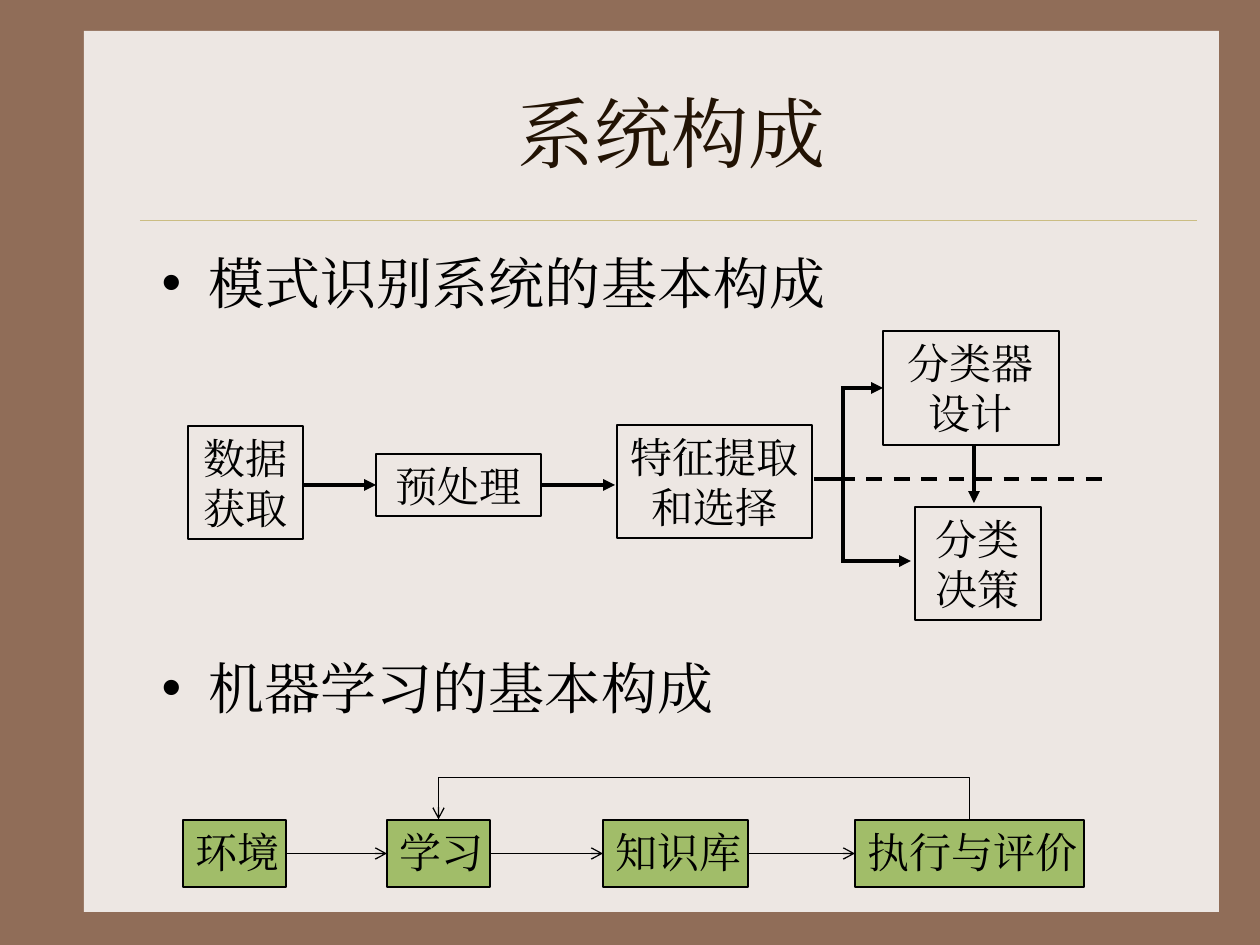
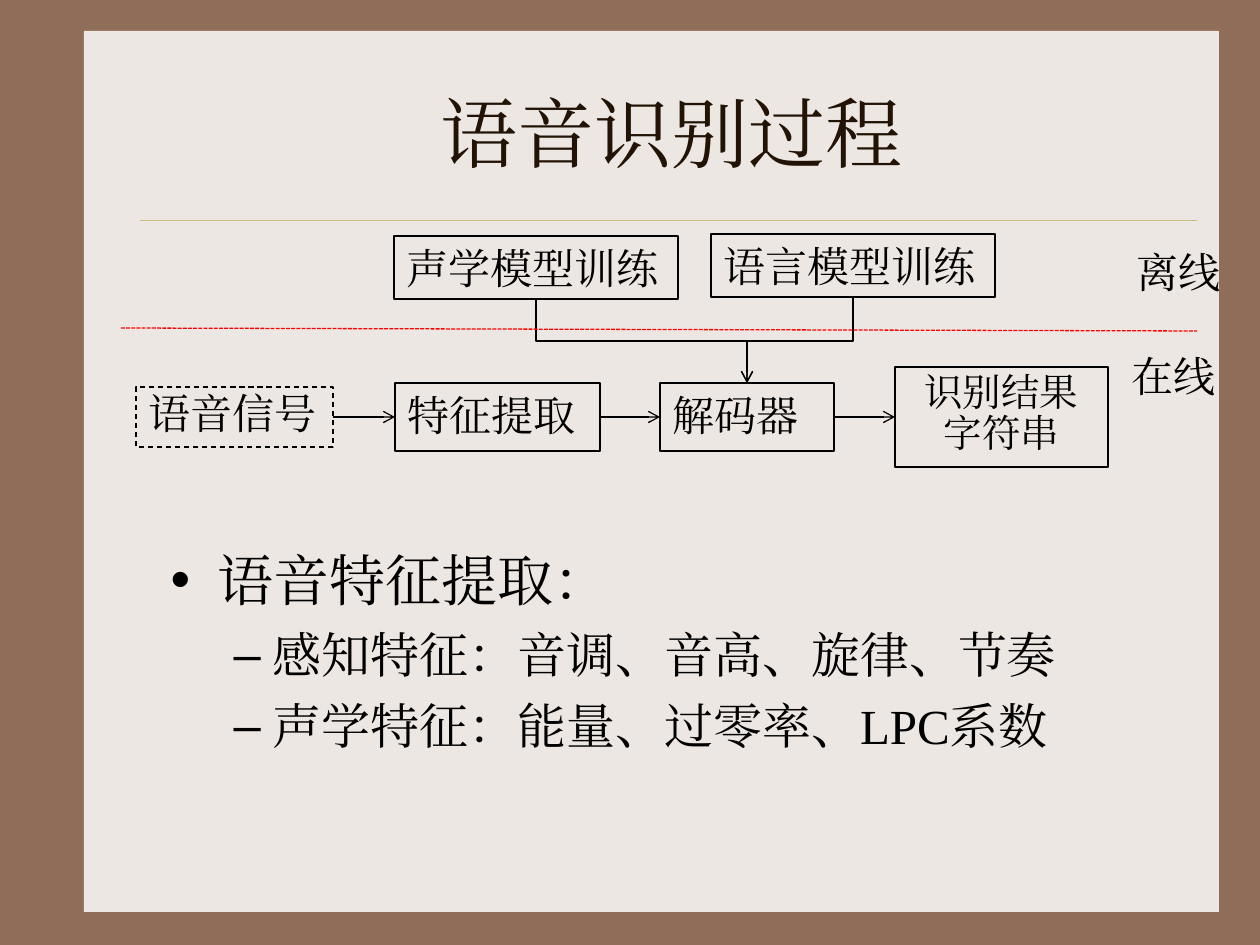
from dataclasses import dataclass

from lxml import etree
from pptx import Presentation
from pptx.dml.color import RGBColor
from pptx.enum.dml import MSO_LINE
from pptx.enum.lang import MSO_LANGUAGE_ID
from pptx.enum.shapes import MSO_CONNECTOR, MSO_SHAPE
from pptx.enum.text import MSO_ANCHOR, MSO_AUTO_SIZE, PP_ALIGN
from pptx.oxml.ns import qn
from pptx.util import Pt

RECT = MSO_SHAPE.RECTANGLE
STRAIGHT, ELBOW = MSO_CONNECTOR.STRAIGHT, MSO_CONNECTOR.ELBOW
DASH, FINE_DASH = MSO_LINE.DASH, MSO_LINE.SQUARE_DOT
LEFT, CENTER, JUSTIFY = PP_ALIGN.LEFT, PP_ALIGN.CENTER, PP_ALIGN.JUSTIFY
TOP_SIDE, LEFT_SIDE, BOTTOM_SIDE, RIGHT_SIDE = range(4)
CHINESE = MSO_LANGUAGE_ID.SIMPLIFIED_CHINESE
EMU_PER_PX = 914400 / 126


@dataclass(frozen=True)
class Theme:
    frame: str = "906D58"
    panel: str = "EDE7E3"
    rule: str = "CBBD83"
    title: str = "221304"
    ink: str = "000000"
    green: str = "A1BD69"
    divider: str = "FF0000"
    font: str = "Times New Roman"
    title_size: int = 44
    list_sizes: tuple = (32, 28)
    list_gaps: tuple = (8, 7)
    node_size: int = 24
    small_size: int = 22
    hairline: float = 0.25
    thin: float = 0.75
    thick: float = 2.25


THEME = Theme()


def px(*lengths):
    return [round(length * EMU_PER_PX) for length in lengths]


def rgb(value):
    return RGBColor.from_string(value)


def write(paragraph, text, *, size=THEME.node_size, color=THEME.ink, align=LEFT,
          level=0, before=None, spacing=None):
    paragraph.alignment = align
    paragraph.level = level
    if before is not None:
        paragraph.space_before = Pt(before)
    if spacing is not None:
        paragraph.line_spacing = spacing
    run = paragraph.add_run()
    run.text = text
    font = run.font
    font.size, font.name, font.language_id = Pt(size), THEME.font, CHINESE
    font.color.rgb = rgb(color)
    etree.SubElement(run._r.get_or_add_rPr(), qn("a:ea"), typeface=THEME.font)


def write_lines(frame, lines, **style):
    for index, line in enumerate(lines):
        paragraph = frame.add_paragraph() if index else frame.paragraphs[0]
        write(paragraph, line, **style)


def style_line(line, color, width, dash=None):
    line.color.rgb = rgb(color)
    line.width = Pt(width)
    if dash is not None:
        line.dash_style = dash


def place(shape, left, top, width, height):
    shape.left, shape.top, shape.width, shape.height = px(left, top, width, height)


class Region:
    """Draws on a slide, measuring from its own left and top."""

    def __init__(self, slide, left=0, top=0):
        self.shapes, self.left, self.top = slide.shapes, left, top

    def point(self, x, y):
        return px(self.left + x, self.top + y)

    def rectangle(self, left, top, width, height, fill=None):
        shape = self.shapes.add_shape(RECT, *self.point(left, top), *px(width, height))
        shape.shadow.inherit = False
        if fill:
            shape.fill.solid()
            shape.fill.fore_color.rgb = rgb(fill)
        else:
            shape.fill.background()
        return shape

    def node(self, box, *lines, fill=None, dash=None, wrap=False, **style):
        shape = self.rectangle(*box, fill=fill)
        style_line(shape.line, THEME.ink, THEME.thin, dash)
        frame = shape.text_frame
        frame.word_wrap = wrap
        frame.vertical_anchor = MSO_ANCHOR.TOP
        write_lines(frame, lines, **style)
        return shape

    def label(self, box, text, **style):
        left, top, width, height = box
        frame = self.shapes.add_textbox(*self.point(left, top), *px(width, height)).text_frame
        frame.word_wrap = False
        write_lines(frame, [text], **style)

    def line(self, start=(0, 0), end=(0, 0), *, source=None, target=None, kind=STRAIGHT,
             color=THEME.ink, width=THEME.thin, dash=None, head=None):
        """Draw a line; source and target are (shape, side) joints."""
        connector = self.shapes.add_connector(kind, *self.point(*start), *self.point(*end))
        if source:
            connector.begin_connect(*source)
        if target:
            connector.end_connect(*target)
        style_line(connector.line, color, width, dash)
        properties = connector.element.spPr
        if head:
            etree.SubElement(properties.find(qn("a:ln")), qn("a:tailEnd"), type=head)
        etree.SubElement(properties, qn("a:effectLst"))
        return connector

    def chain(self, nodes):
        for before, after in zip(nodes, nodes[1:]):
            self.line(source=(before, RIGHT_SIDE), target=(after, LEFT_SIDE), head="arrow")

    def elbow(self, source, target, reach):
        """Leave source vertically for reach px, cross over, then enter target."""
        connector = self.line(source=source, target=target, kind=ELBOW, head="arrow")
        dx = connector.end_x - connector.begin_x
        dy = connector.end_y - connector.begin_y
        middle_x, middle_y = connector.begin_x + dx // 2, connector.begin_y + dy // 2
        run = max(abs(dy), px(1)[0])
        connector.width, connector.height = run, abs(dx)
        connector.left, connector.top = middle_x - run // 2, middle_y - abs(dx) // 2
        properties = connector.element.spPr
        transform = properties.find(qn("a:xfrm"))
        transform.set("rot", "16200000")
        transform.set("flipH", str(int(dy > 0)))
        transform.set("flipV", str(int(dx < 0)))
        geometry = properties.find(qn("a:prstGeom"))
        adjustments = geometry.find(qn("a:avLst"))
        if adjustments is None:
            adjustments = etree.SubElement(geometry, qn("a:avLst"))
        bend = round(px(reach)[0] / run * 100000)
        etree.SubElement(adjustments, qn("a:gd"), name="adj1", fmla=f"val {bend}")


def decorate_master(master, slide):
    """Draw the panel and title rule, then hand them to the master."""
    master.background.fill.solid()
    master.background.fill.fore_color.rgb = rgb(THEME.frame)
    region = Region(slide)
    panel = region.rectangle(84, 31, 1135, 881, fill=THEME.panel)
    panel.line.fill.background()
    rule = region.line((140, 220), (1197, 220), color=THEME.rule, width=THEME.hairline)
    for position, part in enumerate((panel, rule), start=2):
        master.shapes.element.insert(position, part.element)


def fill_title(slide, text):
    title = slide.shapes.title
    place(title, 147, 53, 1050, 158)
    title.text_frame.vertical_anchor = MSO_ANCHOR.MIDDLE
    write_lines(title.text_frame, [text], size=THEME.title_size, color=THEME.title,
                align=CENTER)


def fill_list(slide, box, items):
    """Write (text, level, space before or None) items in the body."""
    body = slide.placeholders[1]
    place(body, *box)
    frame = body.text_frame
    frame.auto_size = MSO_AUTO_SIZE.NONE
    for index, (text, level, gap) in enumerate(items):
        paragraph = frame.add_paragraph() if index else frame.paragraphs[0]
        write(paragraph, text, level=level, size=THEME.list_sizes[level],
              before=gap or THEME.list_gaps[level], align=JUSTIFY if level else LEFT)


def draw_pattern_recognition(slide, left, top):
    region = Region(slide, left, top)

    def stage(box, text):
        return region.node(box, text, wrap=True, align=CENTER)

    def flow(start, end, **options):
        region.line(start, end, width=THEME.thick, **options)

    stage((0, 95, 115, 113), "数据获取")
    preprocessing = stage((188, 123, 165, 62), "预处理")
    stage((429, 94, 195, 113), "特征提取和选择")
    design = stage((695, 0, 176, 114), "分类器设计")
    stage((727, 176, 126, 113), "分类决策")

    flow((115, 154), (188, 154), target=(preprocessing, LEFT_SIDE), head="triangle")
    flow((353, 154), (427, 154), source=(preprocessing, RIGHT_SIDE), head="triangle")
    flow((626, 148), (655, 148))
    flow((655, 57), (655, 230))
    flow((653, 57), (695, 57), target=(design, LEFT_SIDE), head="triangle")
    flow((653, 230), (723, 230), head="triangle")
    flow((651, 148), (919, 148), dash=DASH)
    flow((786, 115), (786, 172), head="triangle")


def draw_machine_learning(slide, left, top):
    region = Region(slide, left, top)
    stages = (("环境", 0, 103), ("学习", 204, 103), ("知识库", 420, 145),
              ("执行与评价", 672, 229))
    nodes = [region.node((x, 43, width, 67), text, fill=THEME.green)
             for text, x, width in stages]
    region.chain(nodes)
    learning, evaluation = nodes[1], nodes[-1]
    region.elbow((evaluation, TOP_SIDE), (learning, TOP_SIDE), 43)


def draw_speech_recognition(slide, left, top):
    region = Region(slide, left, top)
    acoustic = region.node((273, 2, 284, 63), "声学模型训练")
    language = region.node((590, 0, 284, 63), "语言模型训练")
    signal = region.node((15, 153, 197, 60), "语音信号", dash=DASH, spacing=0.9)
    features = region.node((274, 149, 205, 68), "特征提取")
    decoder = region.node((539, 149, 174, 68), "解码器")
    result = region.node((774, 133, 213, 100), "识别结果", "字符串",
                         size=THEME.small_size, align=CENTER, spacing=0.9)
    region.chain([signal, features, decoder, result])
    for model, reach in ((acoustic, 42), (language, 44)):
        region.elbow((model, BOTTOM_SIDE), (decoder, TOP_SIDE), reach)
    region.line((0, 94), (1076, 97), color=THEME.divider, dash=FINE_DASH)
    region.label((1003, 12, 136, 60), "离线", spacing=0.9)
    region.label((998, 116, 136, 60), "在线", spacing=0.9)


def build_structure_slide(slide):
    fill_title(slide, "系统构成")
    fill_list(slide, (149, 242, 1050, 567), [
        ("模式识别系统的基本构成", 0, None),
        ("机器学习的基本构成", 0, 193),
    ])
    draw_pattern_recognition(slide, 188, 331)
    draw_machine_learning(slide, 183, 777)


def build_speech_slide(slide):
    fill_title(slide, "语音识别过程")
    fill_list(slide, (158, 539, 1050, 341), [
        ("语音特征提取：", 0, None),
        ("感知特征：音调、音高、旋律、节奏", 1, None),
        ("声学特征：能量、过零率、LPC系数", 1, None),
    ])
    draw_speech_recognition(slide, 121, 234)


def main():
    deck = Presentation()
    deck.slide_width, deck.slide_height = px(1260, 945)
    layout = deck.slide_layouts[1]
    structure, speech = (deck.slides.add_slide(layout) for _ in range(2))
    decorate_master(deck.slide_master, structure)
    build_structure_slide(structure)
    build_speech_slide(speech)
    deck.save("out.pptx")


if __name__ == "__main__":
    main()
